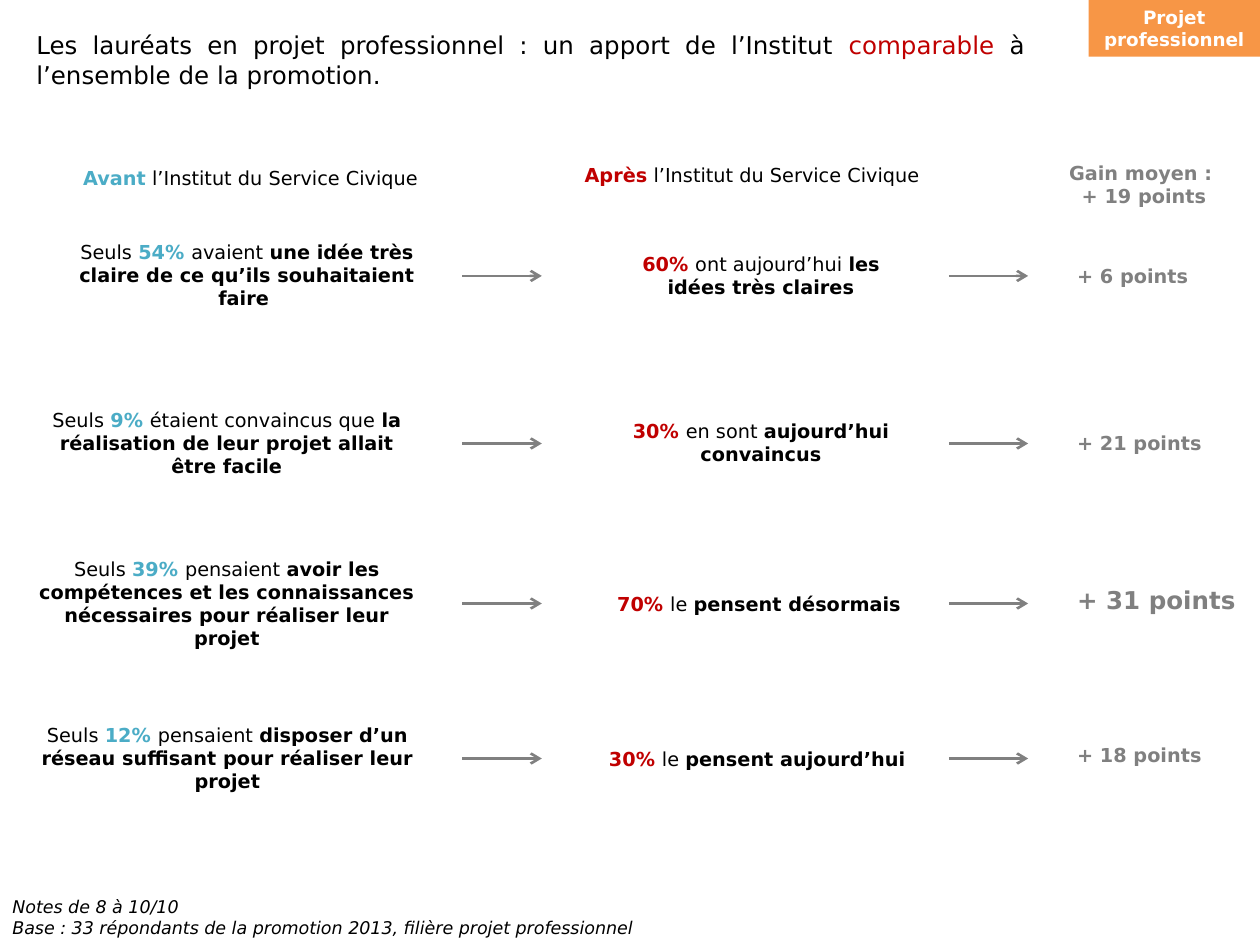
from lxml import etree
from pptx import Presentation
from pptx.dml.color import RGBColor
from pptx.enum.shapes import MSO_CONNECTOR, MSO_SHAPE
from pptx.enum.text import MSO_ANCHOR, PP_ALIGN as ALIGN
from pptx.oxml.ns import qn
from pptx.util import Inches, Pt

FONT = "DejaVu Sans"
BLACK = RGBColor(0x00, 0x00, 0x00)
WHITE = RGBColor(0xFF, 0xFF, 0xFF)
GREY = RGBColor(0x80, 0x80, 0x80)
BLUE = RGBColor(0x4B, 0xAC, 0xC6)
RED = RGBColor(0xC0, 0x00, 0x00)
ORANGE = RGBColor(0xF7, 0x96, 0x46)

TITLE = [
    ("Les lauréats en projet professionnel : un apport de l’Institut ", BLACK, False),
    ("comparable", RED, False),
    (" à l’ensemble de la promotion.", BLACK, False),
]
BADGE = "Projet professionnel"
INSTITUTE = " l’Institut du Service Civique"
HEADINGS = [
    ("Avant", BLUE, (0.35, 1.27, 3.28, 0.29)),
    ("Après", RED, (4.23, 1.25, 3.48, 0.29)),
]
AVERAGE_GAIN = ["Gain moyen : ", "+ 19 points"]
NOTES = [
    "Notes de 8 à 10/10",
    "Base : 33 répondants de la promotion 2013, filière projet professionnel",
]

RESULTS = [
    {"arrow_y": 2.19,
     "before": ("54% ", "avaient ", "une idée très claire de ce qu’ils souhaitaient faire "),
     "before_box": (0.5, 1.86, 2.92, 0.66),
     "after": ("60% ", "ont aujourd’hui ", "les idées très claires"),
     "after_box": (4.81, 1.95, 2.46, 0.47),
     "gain": "+ 6 points", "gain_y": 2.05, "gain_size": 11},
    {"arrow_y": 3.52,
     "before": ("9% ", "étaient convaincus que ",
                "la réalisation de leur projet allait être facile"),
     "before_box": (0.19, 3.19, 3.22, 0.66),
     "after": ("30% ", "en sont ", "aujourd’hui convaincus"),
     "after_box": (4.81, 3.28, 2.46, 0.47),
     "gain": "+ 21 points", "gain_y": 3.37, "gain_size": 11},
    {"arrow_y": 4.79,
     "before": ("39% ", "pensaient ", "avoir les compétences et les connaissances "
                "nécessaires pour réaliser leur projet"),
     "before_box": (0.19, 4.37, 3.22, 0.84),
     "after": ("70% ", "le ", "pensent désormais"),
     "after_box": (4.73, 4.65, 2.59, 0.29),
     "gain": "+ 31 points", "gain_y": 4.59, "gain_size": 14},
    {"arrow_y": 6.02,
     "before": ("12% ", "pensaient ",
                "disposer d’un réseau suffisant pour réaliser leur projet"),
     "before_box": (0.12, 5.69, 3.37, 0.66),
     "after": ("30% ", "le ", "pensent aujourd’hui"),
     "after_box": (4.65, 5.88, 2.72, 0.29),
     "gain": "+ 18 points", "gain_y": 5.85, "gain_size": 11},
]
ARROW_LEFTS = (3.67, 7.53)
ARROW_LENGTH = 0.63
GAIN_LEFT, GAIN_WIDTH = 8.45, 1.6


def write(frame, paragraphs, size, align, italic=False):
    frame.word_wrap = True
    for index, runs in enumerate(paragraphs):
        paragraph = frame.add_paragraph() if index else frame.paragraphs[0]
        paragraph.alignment = align
        for text, color, bold in runs:
            run = paragraph.add_run()
            run.text = text
            run.font.name = FONT
            run.font.size = Pt(size)
            run.font.bold = bold
            run.font.italic = italic
            run.font.color.rgb = color


def add_text(slide, box, paragraphs, size=11, align=ALIGN.CENTER, italic=False):
    textbox = slide.shapes.add_textbox(*map(Inches, box))
    write(textbox.text_frame, paragraphs, size, align, italic)


def add_arrow(slide, left, y):
    arrow = slide.shapes.add_connector(
        MSO_CONNECTOR.STRAIGHT, Inches(left), Inches(y),
        Inches(left + ARROW_LENGTH), Inches(y))
    arrow.line.color.rgb = GREY
    arrow.line.width = Pt(1.5)
    etree.SubElement(arrow.line._get_or_add_ln(), qn("a:tailEnd"), type="arrow")
    etree.SubElement(arrow._element.spPr, qn("a:effectLst"))


def finding(values, color):
    figure, link, emphasis = values
    return [(figure, color, True), (link, BLACK, False), (emphasis, BLACK, True)]


def add_badge(slide):
    badge = slide.shapes.add_shape(
        MSO_SHAPE.RECTANGLE, Inches(8.64), 0, Inches(1.36), Inches(0.45))
    badge.shadow.inherit = False
    badge.fill.solid()
    badge.fill.fore_color.rgb = ORANGE
    badge.line.fill.background()
    badge.text_frame.vertical_anchor = MSO_ANCHOR.TOP
    write(badge.text_frame, [[(BADGE, WHITE, True)]], 10.5, ALIGN.CENTER)


def main():
    deck = Presentation()
    deck.slide_width, deck.slide_height = Inches(10), Inches(7.5)
    slide = deck.slides.add_slide(deck.slide_layouts[6])

    add_text(slide, (0.19, 0.19, 8.04, 0.57), [TITLE], 14, ALIGN.JUSTIFY)
    add_badge(slide)
    for moment, color, box in HEADINGS:
        add_text(slide, box, [[(moment, color, True), (INSTITUTE, BLACK, False)]])
    add_text(slide, (8.28, 1.23, 1.6, 0.47),
             [[(line, GREY, True)] for line in AVERAGE_GAIN])

    for result in RESULTS:
        before = [("Seuls ", BLACK, False)] + finding(result["before"], BLUE)
        add_text(slide, result["before_box"], [before])
        add_text(slide, result["after_box"], [finding(result["after"], RED)])
        for left in ARROW_LEFTS:
            add_arrow(slide, left, result["arrow_y"])
        size = result["gain_size"]
        gain_box = (GAIN_LEFT, result["gain_y"], GAIN_WIDTH, 0.34 if size > 11 else 0.29)
        add_text(slide, gain_box, [[(result["gain"], GREY, True)]], size, ALIGN.LEFT)

    add_text(slide, (0, 7.06, 10, 0.44),
             [[(line, BLACK, False)] for line in NOTES], 10, ALIGN.LEFT, italic=True)
    deck.save("out.pptx")


if __name__ == "__main__":
    main()
